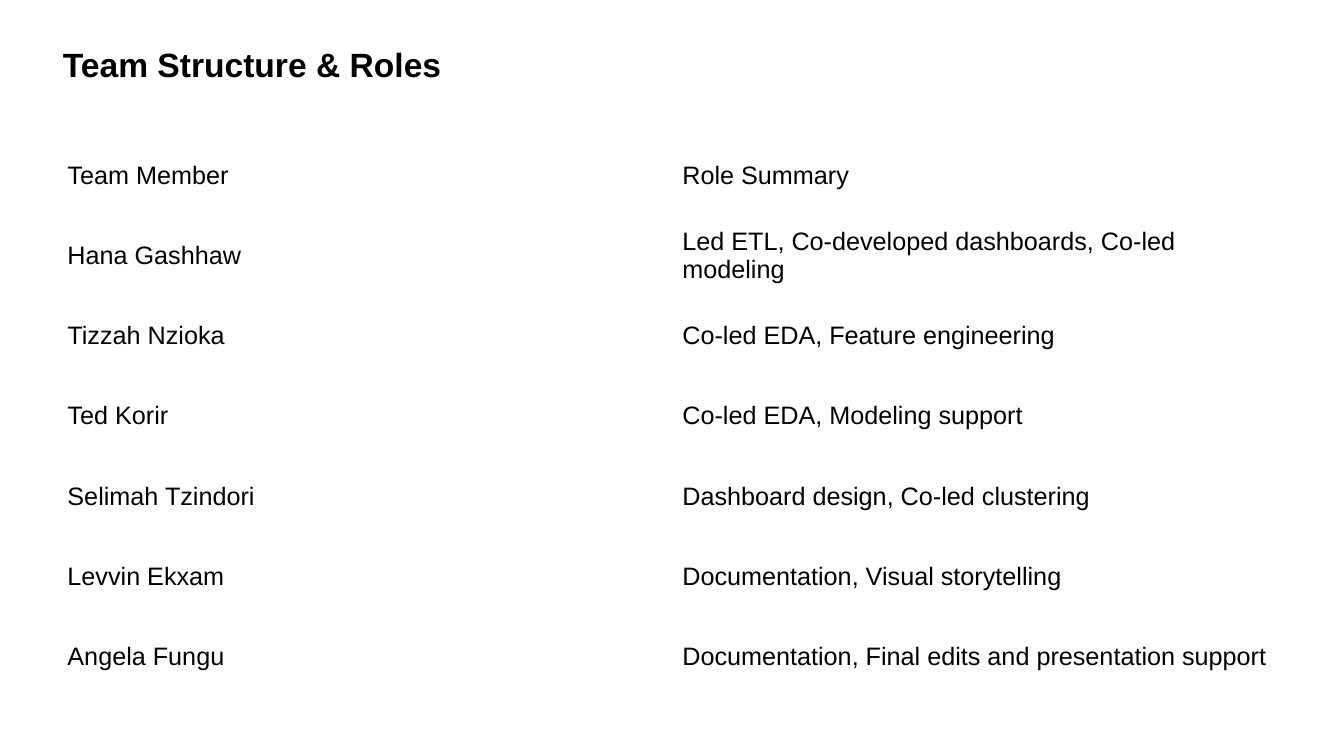
from pptx import Presentation
from pptx.dml.color import RGBColor
from pptx.enum.text import MSO_ANCHOR
from pptx.util import Pt

TITLE = "Team Structure & Roles"
ROWS = [
    ("Team Member", "Role Summary"),
    ("Hana Gashhaw", "Led ETL, Co-developed dashboards, Co-led modeling"),
    ("Tizzah Nzioka", "Co-led EDA, Feature engineering"),
    ("Ted Korir", "Co-led EDA, Modeling support"),
    ("Selimah Tzindori", "Dashboard design, Co-led clustering"),
    ("Levvin Ekxam", "Documentation, Visual storytelling"),
    ("Angela Fungu", "Documentation, Final edits and presentation support"),
]

FONT = "Arial"
BLACK = RGBColor(0, 0, 0)
TABLE_LEFT, TABLE_TOP = 41, 96.5
COL_W, ROW_H = 439.2, 57.4


def style(p, size, bold=False):
    for r in p.runs:
        r.font.name = FONT
        r.font.size = Pt(size)
        r.font.bold = bold
        r.font.color.rgb = BLACK


def add_title(s):
    tf = s.shapes.add_textbox(Pt(31), Pt(26.6), Pt(294.5), Pt(65.5)).text_frame
    tf.word_wrap = False
    tf.vertical_anchor = MSO_ANCHOR.TOP
    tf.margin_left = Pt(13.9)
    tf.margin_top = Pt(5)
    tf.text = TITLE
    style(tf.paragraphs[0], 24, bold=True)


def add_team_table(s):
    n_rows, n_cols = len(ROWS), len(ROWS[0])
    table = s.shapes.add_table(
        n_rows, n_cols, Pt(TABLE_LEFT), Pt(TABLE_TOP),
        Pt(COL_W * n_cols), Pt(ROW_H * n_rows)).table
    table.first_row = False
    table.horz_banding = False
    for col in table.columns:
        col.width = Pt(COL_W)
    for row, texts in zip(table.rows, ROWS):
        row.height = Pt(ROW_H)
        for cell, text in zip(row.cells, texts):
            cell.fill.background()
            cell.vertical_anchor = MSO_ANCHOR.MIDDLE
            cell.text_frame.text = text
            style(cell.text_frame.paragraphs[0], 18)


def main():
    prs = Presentation()
    prs.slide_width, prs.slide_height = Pt(960), Pt(540)
    s = prs.slides.add_slide(prs.slide_layouts[6])
    add_team_table(s)
    add_title(s)
    prs.save("out.pptx")


if __name__ == "__main__":
    main()
